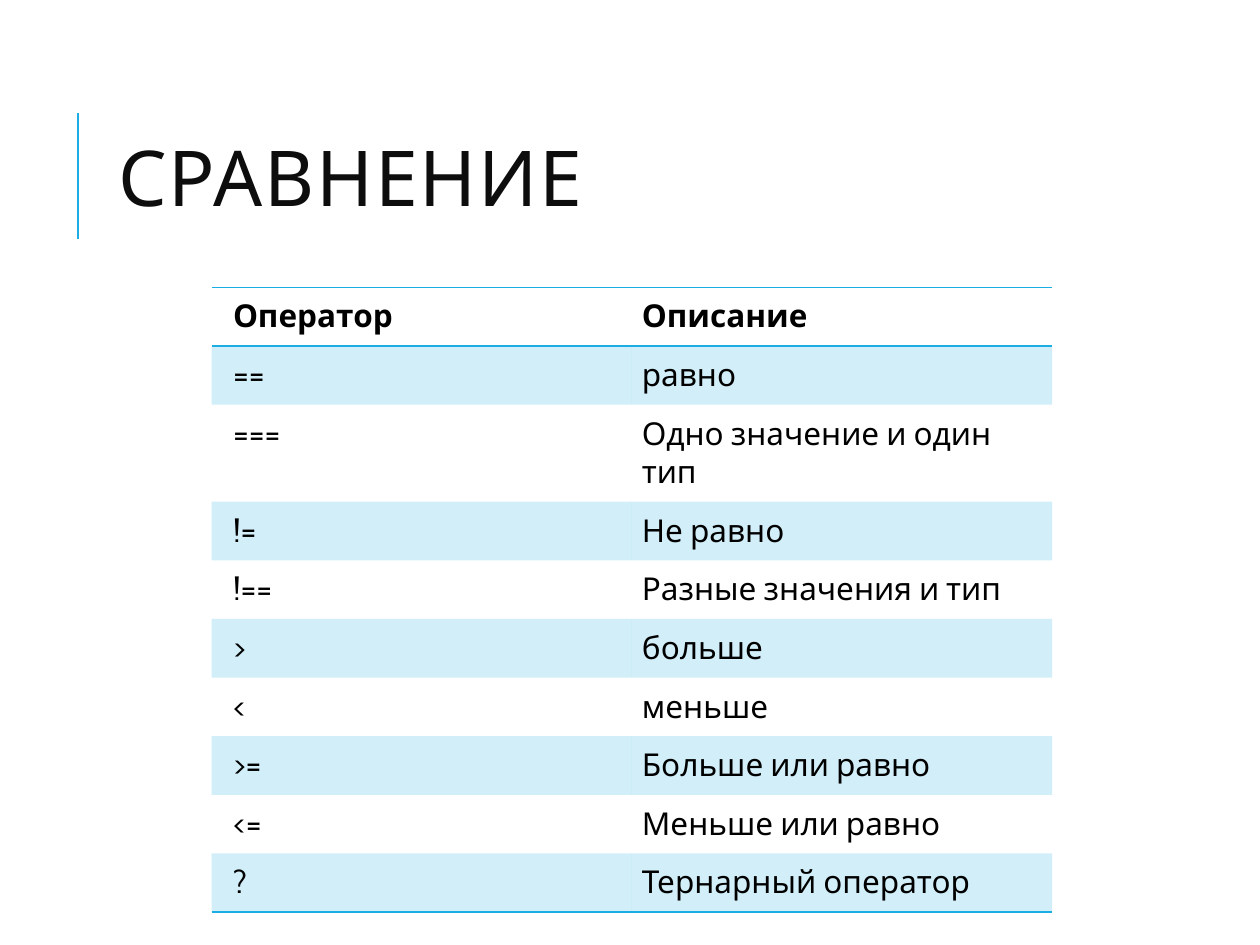
"""Build the slide listing comparison operators."""
from lxml import etree
from pptx import Presentation
from pptx.dml.color import RGBColor
from pptx.enum import shapes, text
from pptx.oxml import ns
from pptx.util import Inches, Pt

TITLE = "СРАВНЕНИЕ"
ROWS = [
    ("Оператор", "Описание"),
    ("==", "равно"),
    ("===", "Одно значение и один тип"),
    ("!=", "Не равно"),
    ("!==", "Разные значения и тип"),
    (">", "больше"),
    ("<", "меньше"),
    (">=", "Больше или равно"),
    ("<=", "Меньше или равно"),
    ("?", "Тернарный оператор"),
]
FONT = "Cabin"
ACCENT = RGBColor(0x1C, 0xAD, 0xE4)
TITLE_COLOR = RGBColor(0x0D, 0x0D, 0x0D)
BLACK = RGBColor(0, 0, 0)
NO_STYLE = "{2D5ABB26-0587-4C30-8999-92F81FD0307C}"
ROW_HEIGHT = 0.41


def add_child(parent, tag, **attributes):
    return etree.SubElement(parent, ns.qn(tag), attributes)


def style_paragraph(para, size, color, bold=False):
    para.font.name = FONT
    para.font.size = Pt(size)
    para.font.bold = bold
    para.font.color.rgb = color


def add_border(cell, side):
    line = add_child(cell._tc.get_or_add_tcPr(), f"a:ln{side}", w=str(Pt(1)))
    add_child(add_child(line, "a:solidFill"), "a:srgbClr", val=str(ACCENT))


def fill_band(cell):
    cell.fill.solid()
    cell.fill.fore_color.rgb = ACCENT
    color = cell._tc.tcPr.find(".//" + ns.qn("a:solidFill") + "[last()]/" + ns.qn("a:srgbClr"))
    for color in cell._tc.tcPr.findall(ns.qn("a:solidFill") + "/" + ns.qn("a:srgbClr")):
        add_child(color, "a:alpha", val="20000")


def add_title(page):
    title = page.shapes.title
    title.left, title.top = Inches(0.84), Inches(0.64)
    title.width, title.height = Inches(7.97), Inches(1.64)
    title.text_frame.text = TITLE
    title.text_frame.word_wrap = True
    title.text_frame.vertical_anchor = text.MSO_ANCHOR.MIDDLE
    para = title.text_frame.paragraphs[0]
    para.alignment = text.PP_ALIGN.LEFT
    para.line_spacing = 0.8
    style_paragraph(para, 44, TITLE_COLOR)
    para.runs[0].font._element.set("spc", "100")


def add_accent_line(page):
    line = page.shapes.add_connector(
        shapes.MSO_CONNECTOR.STRAIGHT, Inches(0.62), Inches(1.9), Inches(0.62), Inches(0.9))
    line.line.color.rgb = ACCENT
    line.line.width = Pt(1.5)
    add_child(line._element.spPr, "a:effectLst")


def add_operator_table(page):
    table = page.shapes.add_table(
        len(ROWS), 2, Inches(1.68), Inches(2.28), Inches(6.67),
        Inches(ROW_HEIGHT * len(ROWS))).table
    table._tbl.tblPr.find(ns.qn("a:tableStyleId")).text = NO_STYLE
    last = len(ROWS) - 1
    for row, values in enumerate(ROWS):
        for column, value in enumerate(values):
            cell = table.cell(row, column)
            cell.text = value
            cell.margin_left = Inches(0.08 if column else 0.17)
            cell.margin_right = cell.margin_top = cell.margin_bottom = Inches(0.08)
            style_paragraph(cell.text_frame.paragraphs[0], 18, BLACK, bold=row == 0)
            if row == 0:
                add_border(cell, "T")
            if row in (0, last):
                add_border(cell, "B")
            if row % 2:
                fill_band(cell)
            else:
                cell.fill.background()


def main():
    deck = Presentation()
    deck.slide_width, deck.slide_height = Inches(10), Inches(7.5)
    page = deck.slides.add_slide(deck.slide_layouts[5])
    add_accent_line(page)
    add_title(page)
    add_operator_table(page)
    deck.save("out.pptx")


if __name__ == "__main__":
    main()
